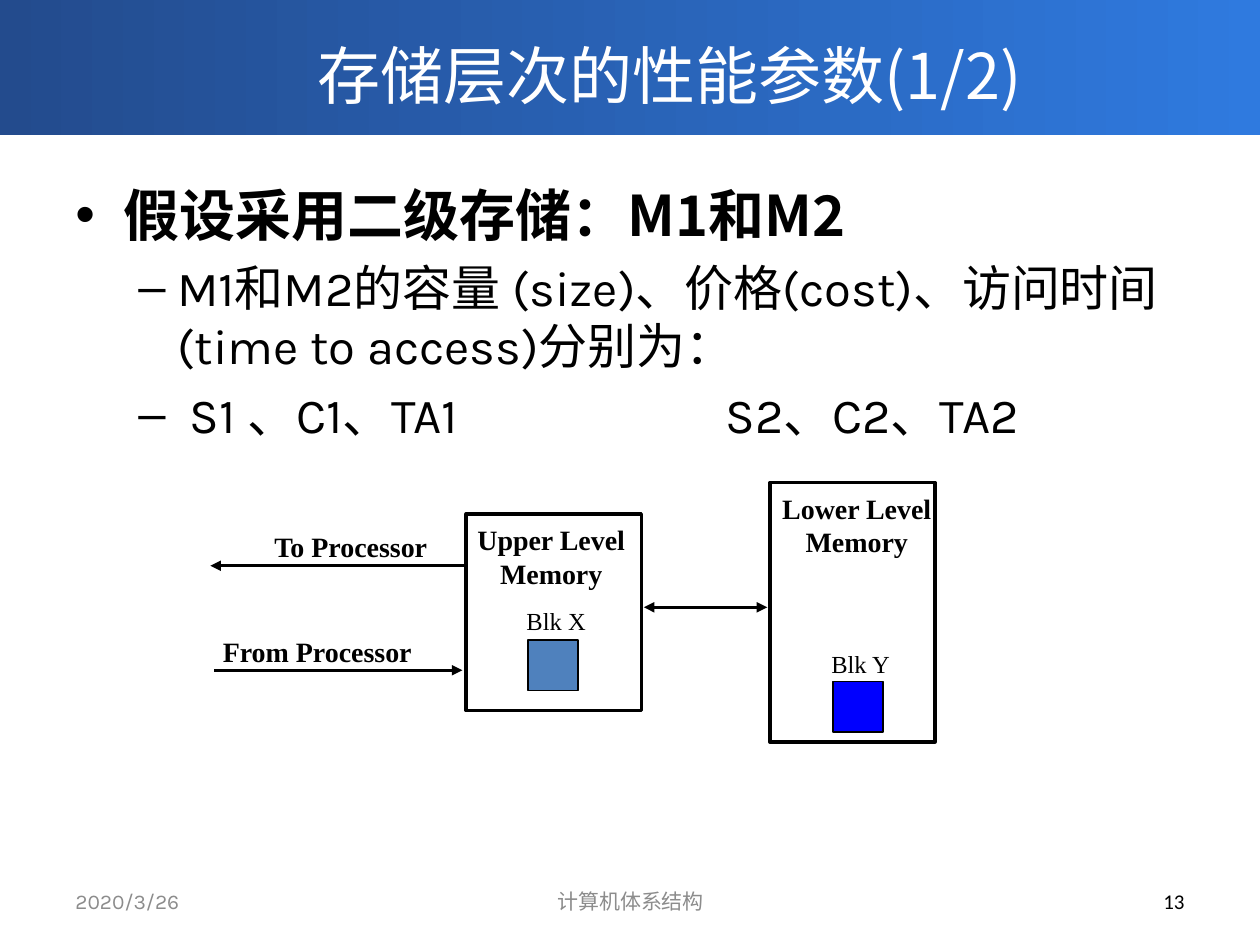
from pptx import Presentation
from pptx.util import Inches, Pt
from pptx.dml.color import RGBColor as Rgb
from pptx.enum.shapes import MSO_CONNECTOR as Conn, MSO_SHAPE as Form
from pptx.enum.text import MSO_ANCHOR as Anchor, PP_ALIGN as Align
from pptx.oxml.ns import qn
from lxml.etree import SubElement as Sub

# The grid has 100 columns and 75 rows of square cells
COLS, ROWS, CELL = 100, 75, 0.1
COLORS = {"dark": "234B8D", "light": "2F7ADF", "white": "FFFFFF", "ink": "000000",
          "gray": "8C8C8C", "upper": "4F81BD", "lower": "0000FF"}
SANS, BODY, SERIF = "Noto Sans CJK SC", "Karla", "Times New Roman"


def grid(*cells):
    return [Inches(round(n * CELL, 3)) for n in cells]


def color(name):
    return Rgb.from_string(COLORS[name])


def style(par, size, face, ink="ink", bold=False):
    for run in par.runs:
        font = run.font
        font.size, font.name, font.bold = Pt(size), face, bold
        font.color.rgb = color(ink)
        Sub(run._r.get_or_add_rPr(), qn("a:ea"), typeface=face)


def text(slide, area, words, size, face, ink="ink", bold=False,
         align=Align.LEFT, anchor=Anchor.TOP, wrap=True):
    frame = slide.shapes.add_textbox(*grid(*area)).text_frame
    frame.word_wrap, frame.vertical_anchor = wrap, anchor
    frame.text = words
    for par in frame.paragraphs:
        par.alignment = align
        style(par, size, face, ink, bold)
    return frame


def box(slide, area, fill=None, line=None):
    shape = slide.shapes.add_shape(Form.RECTANGLE, *grid(*area))
    shape.shadow.inherit = False
    if fill:
        shape.fill.solid()
        shape.fill.fore_color.rgb = color(fill)
    else:
        shape.fill.background()
    if line:
        shape.line.color.rgb = color("ink")
        shape.line.width = Pt(line)
    else:
        shape.line.fill.background()
    return shape


def arrow(slide, start, end, row, both=False):
    link = slide.shapes.add_connector(Conn.STRAIGHT, *grid(start, row, end, row))
    link.line.color.rgb = color("ink")
    link.line.width = Pt(2)
    line = link.line._get_or_add_ln()
    for tag in ["a:headEnd", "a:tailEnd"] if both else ["a:tailEnd"]:
        Sub(line, qn(tag), type="triangle")
    Sub(link._element.spPr, qn("a:effectLst"))


def bullet(par, mark, left, hang, tab=None):
    props = par._p.get_or_add_pPr()
    props.set("marL", str(Inches(left)))
    props.set("indent", str(-Inches(hang)))
    Sub(props, qn("a:buFont"), typeface="Arial")
    Sub(props, qn("a:buChar"), char=mark)
    if tab:
        Sub(Sub(props, qn("a:tabLst")), qn("a:tab"), pos=str(Inches(tab)), algn="l")


def header(slide):
    band = box(slide, (0, 0, COLS, 10.7), "dark")
    band.fill.gradient()
    band.fill.gradient_angle = 0
    for stop, name, place in zip(band.fill.gradient_stops, ("dark", "light"), (0, 1)):
        stop.color.rgb = color(name)
        stop.position = place
    text(slide, (11.3, 1.6, 83.7, 8.6), "存储层次的性能参数(1/2)", 36, SANS, "white",
         align=Align.CENTER, anchor=Anchor.MIDDLE)


def points(slide):
    frame = text(slide, (5, 13.8, 90, 55.2), "假设采用二级存储：M1和M2", 32, SANS, bold=True)
    bullet(frame.paragraphs[0], "•", 0.38, 0.38)
    for words, left, hang, tab in [
            ("M1和M2的容量 (size)、价格(cost)、访问时间 (time to access)分别为：", 0.81, 0.31, None),
            ("S1 、C1、TA1\tS2、C2、TA2", 0.91, 0.41, 5.16)]:
        par = frame.add_paragraph()
        par.text, par.level, par.space_before = words, 1, Pt(5.6)
        bullet(par, "–", left, hang, tab)
        style(par, 28, BODY)


def memory(slide, area, label, name, block, tag, word, fill):
    box(slide, area, line=2)
    text(slide, label, f"{name} Level\nMemory", 16, SERIF, bold=True,
         align=Align.CENTER, wrap=False)
    box(slide, (*block, 4, 4), fill, 1)
    text(slide, tag, word, 14, SERIF, wrap=False)


def diagram(slide):
    # Two memory levels, each with one block
    memory(slide, (37, 40.8, 13.9, 15.6), (36.8, 41, 13.9, 6.4), "Upper",
           (41.9, 50.8), (40.8, 47.6, 6.8, 3.3), "Blk X", "upper")
    memory(slide, (61.1, 38.3, 13.1, 20.6), (61, 38.5, 14, 6.4), "Lower",
           (66.1, 54.1), (65, 51, 6.7, 3.3), "Blk Y", "lower")
    # Traffic with the processor and between the levels
    arrow(slide, 37, 16.7, 44.9)
    arrow(slide, 17, 36.7, 53.2)
    arrow(slide, 51.1, 60.9, 48.2, both=True)
    for area, words in [((20.8, 41.5, 14.3, 3.7), "To Processor"),
                        ((16.7, 49.9, 17.2, 3.7), "From Processor")]:
        text(slide, area, words, 16, SERIF, bold=True, wrap=False)


def footer(slide):
    for left, wide, words, face, ink, align in [
            (5, 23.3, "2020/3/26", BODY, "gray", Align.LEFT),
            (34.2, 31.7, "计算机体系结构", BODY, "gray", Align.CENTER),
            (71.7, 23.3, "13", "Calibri", "ink", Align.RIGHT)]:
        text(slide, (left, 69.5, wide, 4), words, 12, face, ink,
             align=align, anchor=Anchor.MIDDLE)


def main():
    deck = Presentation()
    deck.slide_width, deck.slide_height = grid(COLS, ROWS)
    slide = deck.slides.add_slide(deck.slide_layouts[6])
    header(slide)
    points(slide)
    footer(slide)
    diagram(slide)
    deck.save("out.pptx")


if __name__ == "__main__":
    main()
